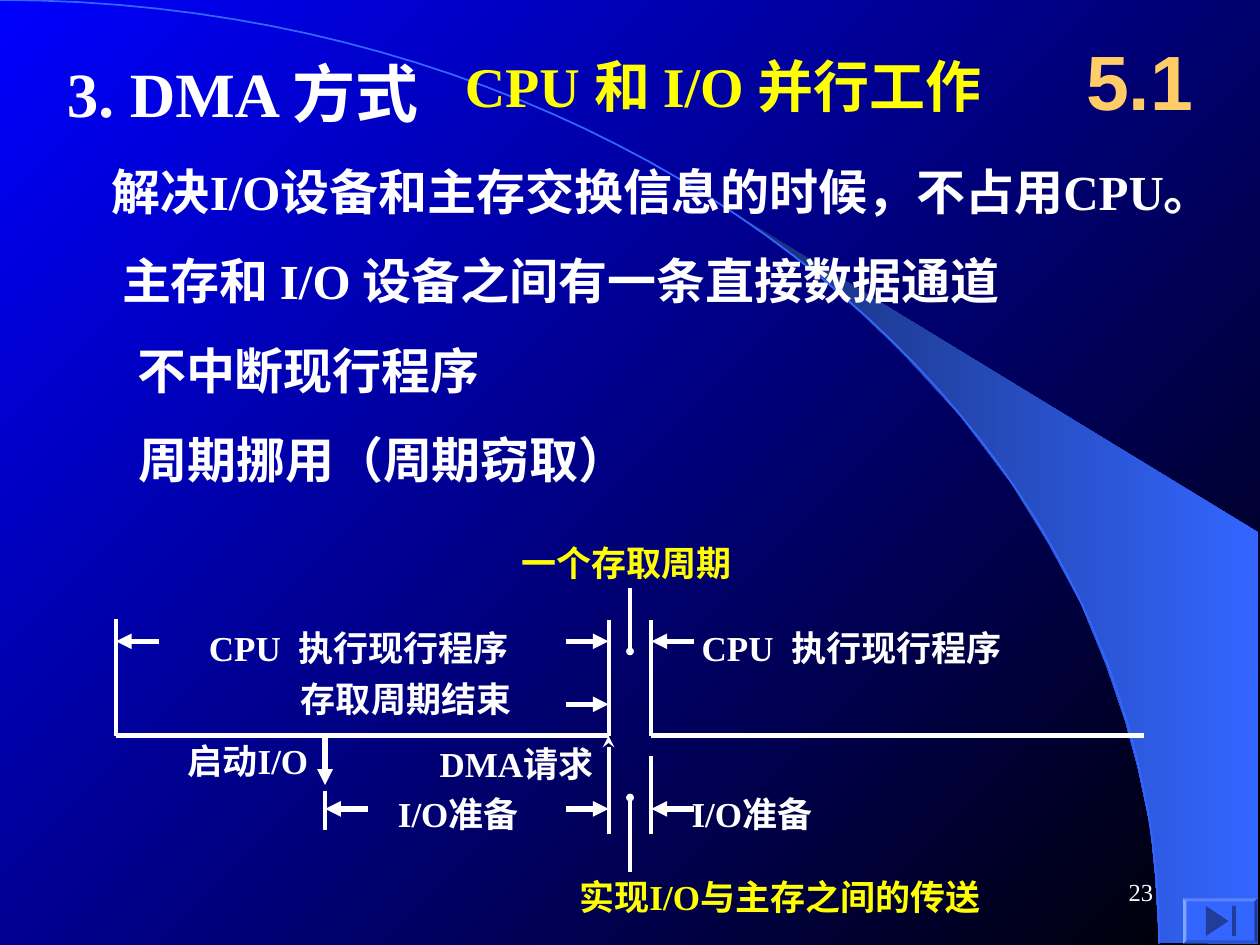
from lxml.etree import SubElement
from pptx import Presentation
from pptx.dml.color import RGBColor
from pptx.enum.shapes import MSO_CONNECTOR, MSO_SHAPE
from pptx.enum.text import MSO_ANCHOR, MSO_AUTO_SIZE, PP_ALIGN
from pptx.oxml.ns import qn
from pptx.util import Inches, Pt

WHITE = RGBColor(0xFF, 0xFF, 0xFF)
YELLOW = RGBColor(0xFF, 0xFF, 0x00)
ORANGE = RGBColor(0xFF, 0xCC, 0x66)
BLUE = RGBColor(0x00, 0x00, 0xFF)
BLACK = RGBColor(0x00, 0x00, 0x00)
SKY = RGBColor(0x33, 0x66, 0xFF)
NAVY = RGBColor(0x18, 0x2F, 0x76)
ICON = RGBColor(0x1F, 0x3D, 0x99)

SWEEP = [(9.2, 7.48), (9.99, 7.49), (9.99, 4.23), (5.89, 1.73), (6.24, 1.99),
         (6.53, 2.22), (6.85, 2.5), (7.16, 2.8), (7.62, 3.3), (8.03, 3.84),
         (8.32, 4.31), (8.58, 4.79), (8.78, 5.28), (8.93, 5.72), (9.03, 6.09),
         (9.13, 6.56), (9.17, 6.96)]
ARC_CONTROLS = [(0, 0), (5.08, 0), (9.2, 3.35), (9.2, 7.49)]


def write_text(frame, text, size=20, color=WHITE, bold=True, font="Times New Roman",
               align=PP_ALIGN.LEFT, anchor=MSO_ANCHOR.TOP, wrap=False):
    frame.word_wrap = wrap
    frame.auto_size = (MSO_AUTO_SIZE.SHAPE_TO_FIT_TEXT if anchor == MSO_ANCHOR.TOP
                       else MSO_AUTO_SIZE.NONE)
    frame.vertical_anchor = anchor
    paragraph = frame.paragraphs[0]
    paragraph.alignment = align
    run = paragraph.add_run()
    run.text = text
    run.font.name = font
    run.font.size = Pt(size)
    run.font.bold = bold
    run.font.color.rgb = color


def blend(fill, first, last, angle):
    fill.gradient()
    fill.gradient_angle = angle
    for stop, color, position in zip(fill.gradient_stops, (first, last), (0, 1)):
        stop.color.rgb = color
        stop.position = position


def bezier(controls, steps=48):
    weights = (1, 3, 3, 1)
    return [tuple(sum(w * (1 - t) ** (3 - i) * t ** i * point[axis]
                      for i, (w, point) in enumerate(zip(weights, controls)))
                  for axis in (0, 1))
            for t in (step / steps for step in range(steps + 1))]


class DmaSlide:
    def __init__(self, slide):
        self.slide = slide
        self.shapes = slide.shapes

    def background(self):
        blend(self.slide.background.fill, BLUE, BLACK, 315)

    def title(self, text, left, top, width, height, **style):
        heading = self.shapes.title
        heading.left, heading.top = Inches(left), Inches(top)
        heading.width, heading.height = Inches(width), Inches(height)
        write_text(heading.text_frame, text, **style)

    def label(self, text, left, top, width, height=0.44, **style):
        box = self.shapes.add_textbox(Inches(left), Inches(top), Inches(width), Inches(height))
        write_text(box.text_frame, text, **style)

    def outline(self, points, close=True):
        corners = [(Inches(x), Inches(y)) for x, y in points]
        builder = self.shapes.build_freeform(*corners[0])
        builder.add_line_segments(corners[1:], close=close)
        figure = builder.convert_to_shape()
        figure.shadow.inherit = False
        figure.line.fill.background()
        return figure

    def preset(self, kind, left, top, width, height, color):
        figure = self.shapes.add_shape(kind, Inches(left), Inches(top),
                                       Inches(width), Inches(height))
        figure.shadow.inherit = False
        figure.fill.solid()
        figure.fill.fore_color.rgb = color
        figure.line.fill.background()
        return figure

    def line(self, start, end, weight=2.25, tip=None, tip_size="med"):
        connector = self.shapes.add_connector(
            MSO_CONNECTOR.STRAIGHT, *(Inches(value) for value in (*start, *end)))
        connector.line.width = Pt(weight)
        connector.line.color.rgb = WHITE
        if tip:
            SubElement(connector.line._get_or_add_ln(), qn("a:tailEnd"),
                       type=tip, w=tip_size, len=tip_size)
        SubElement(connector._element.spPr, qn("a:effectLst"))

    def arrow(self, start, end):
        self.line(start, end, weight=3, tip="triangle")

    def decoration(self):
        sweep = self.outline(SWEEP)
        blend(sweep.fill, NAVY, SKY, 0)
        arc = self.outline(bezier(ARC_CONTROLS), close=False)
        arc.fill.background()
        arc.line.color.rgb = SKY
        arc.line.width = Pt(1)

    def end_button(self):
        frame = self.preset(MSO_SHAPE.BEVEL, 9.39, 7.13, 0.59, 0.36, SKY)
        frame.adjustments[0] = 0.07
        play = self.outline([(9.57, 7.19), (9.75, 7.31), (9.57, 7.43)])
        play.fill.solid()
        play.fill.fore_color.rgb = ICON
        self.preset(MSO_SHAPE.RECTANGLE, 9.78, 7.19, 0.03, 0.24, ICON)

    def timeline(self):
        origin, launch, request, cycle, resume, finish = 0.92, 2.58, 4.83, 5, 5.17, 9.08
        axis, cpu_row, end_row, io_row, reach = 5.84, 5.09, 5.59, 6.42, 0.34

        for start, end in ((origin, request), (resume, finish)):
            self.line((start, axis), (end, axis), weight=3)
        for x, top, bottom in ((origin, 4.91, axis), (request, 4.92, axis),
                               (resume, 4.92, axis), (resume, 6, 6.62),
                               (launch, 6.28, 6.59)):
            self.line((x, top), (x, bottom))
        self.line((request, 6.62), (request, axis), tip="stealth")
        for top, bottom in ((4.67, 5.17), (6.92, 6.33)):
            self.line((cycle, top), (cycle, bottom), tip="oval", tip_size="sm")

        for x, y, side in ((origin, cpu_row, 1), (request, cpu_row, -1),
                           (resume, cpu_row, 1), (request, end_row, -1),
                           (launch, io_row, 1), (request, io_row, -1),
                           (resume, io_row, 1)):
            self.arrow((x + side * reach, y), (x, y))
        self.arrow((launch, axis), (launch, 6.23))

        for left in (1.56, 5.47):
            self.label("CPU  执行现行程序", left, 4.92, 2.7)
        for left in (3.06, 5.39):
            self.label("I/O准备", left, 6.24, 1.3)
        self.label("存取周期结束", 2.29, 5.33, 1.95)
        self.label("DMA请求", 3.39, 5.84, 1.55)
        self.label("启动I/O", 1.39, 5.82, 1.3)
        self.label("一个存取周期", 4.04, 4.25, 1.95, color=YELLOW)
        self.label("实现I/O与主存之间的传送", 4.5, 6.9, 3.6, color=YELLOW, wrap=True)


def main():
    deck = Presentation()
    deck.slide_width, deck.slide_height = Inches(10), Inches(7.5)
    page = DmaSlide(deck.slides.add_slide(deck.slide_layouts[5]))
    page.background()
    page.decoration()
    page.title("3. DMA 方式", 0.43, 0.38, 3.2, 0.7, size=36)
    page.label("CPU 和 I/O 并行工作", 3.59, 0.36, 4.72, 0.64, size=32, color=YELLOW)
    page.label("5.1", 8.42, 0.17, 1.25, 0.92, size=44, color=ORANGE, font="Arial",
               align=PP_ALIGN.CENTER, anchor=MSO_ANCHOR.MIDDLE, wrap=True)
    points = (("解决I/O设备和主存交换信息的时候，不占用CPU。", 0.79, 9.31),
              ("主存和 I/O 设备之间有一条直接数据通道", 0.87, 7.45),
              ("不中断现行程序", 0.99, 3),
              ("周期挪用（周期窃取）", 1, 4.15))
    for row, (text, left, width) in enumerate(points):
        page.label(text, left, 1.23 + 0.71 * row, width, 0.57, size=28)
    page.timeline()
    page.end_button()
    page.label("23", 7.17, 6.83, 2.08, 0.5, size=14, bold=False,
               align=PP_ALIGN.RIGHT, anchor=MSO_ANCHOR.MIDDLE, wrap=True)
    deck.save("out.pptx")


if __name__ == "__main__":
    main()
